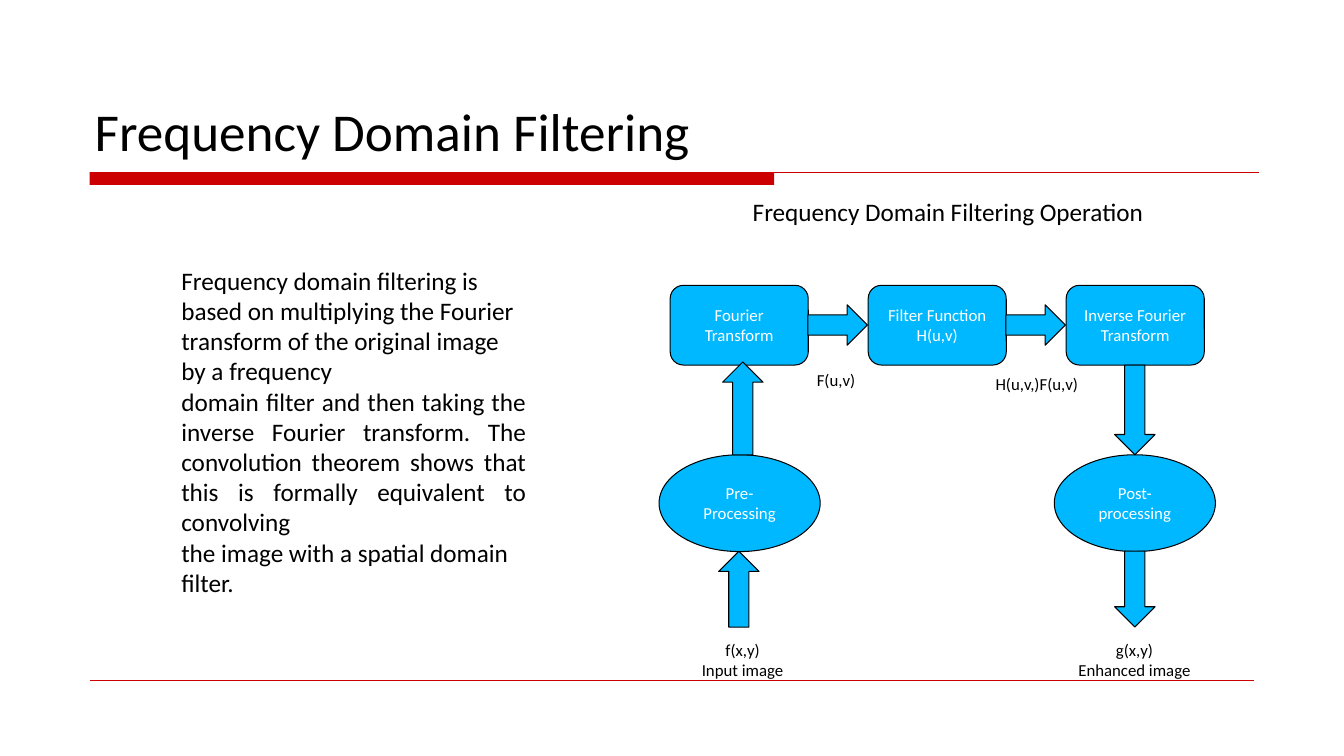
from dataclasses import dataclass

from lxml.etree import SubElement
from pptx import Presentation
from pptx.dml.color import RGBColor
from pptx.enum.shapes import MSO_CONNECTOR, MSO_SHAPE as Preset
from pptx.enum.text import MSO_ANCHOR as Anchor, MSO_AUTO_SIZE as AutoSize, PP_ALIGN as Align
from pptx.oxml.ns import qn
from pptx.shapes.autoshape import Shape
from pptx.slide import Slide
from pptx.text.text import TextFrame
from pptx.util import Cm, Pt

FONT = "Calibri"
BLACK, WHITE, RED, BLUE = "000000", "FFFFFF", "CC0000", "00B8FF"
BOX_PITCH = 4.99
ARROW_WIDTH = 1.02


@dataclass(frozen=True)
class Box:
    """A place on the slide, in centimetres."""
    left: float
    top: float
    width: float
    height: float

    def lengths(self) -> tuple[Cm, Cm, Cm, Cm]:
        return Cm(self.left), Cm(self.top), Cm(self.width), Cm(self.height)


@dataclass(frozen=True)
class Step:
    text: str
    preset: Preset
    box: Box


@dataclass(frozen=True)
class Arrow:
    left: float
    top: float
    length: float
    rotation: int


@dataclass(frozen=True)
class Label:
    text: str
    box: Box
    size: int = 12
    align: Align = Align.CENTER


STEPS = [
    Step(text, Preset.ROUNDED_RECTANGLE, Box(16.89 + BOX_PITCH * column, 7.19, 3.48, 2.01))
    for column, text in enumerate(
        ["Fourier Transform", "Filter Function H(u,v)", "Inverse Fourier Transform"])
] + [
    Step("Pre-Processing", Preset.OVAL, Box(16.61, 11.46, 4.06, 2.44)),
    Step("Post-processing", Preset.OVAL, Box(26.57, 11.46, 4.06, 2.44)),
]

ARROWS = [
    Arrow(18.11, 13.89, 1.91, 180),
    Arrow(18.21, 9.12, 2.34, 180),
    Arrow(20.6, 7.44, 1.5, 270),
    Arrow(20.6 + BOX_PITCH, 7.44, 1.5, 270),
    Arrow(28.09, 9.2, 2.26, 0),
    Arrow(28.09, 13.89, 1.91, 0),
]

LABELS = [
    Label("Frequency Domain Filtering Operation", Box(18.72, 4.83, 10.46, 1.02), 18, Align.LEFT),
    Label("F(u,v)", Box(20.32, 9.2, 1.5, 0.76)),
    Label("H(u,v,)F(u,v)", Box(24.82, 9.3, 2.62, 0.76)),
    Label("f(x,y)\nInput image", Box(17.42, 16, 2.59, 1.27)),
    Label("g(x,y)\nEnhanced image", Box(26.9, 16, 3.38, 1.27)),
]

BODY = Label(
    "Frequency domain filtering is based on multiplying the Fourier transform "
    "of the original image by a frequency\n"
    "domain filter and then taking the inverse Fourier transform. The convolution "
    "theorem shows that this is formally equivalent to convolving\n"
    "the image with a spatial domain filter.",
    Box(4.32, 6.55, 9.19, 8.64), 18, Align.LEFT)


def color(value: str) -> RGBColor:
    return RGBColor.from_string(value)


def write(frame: TextFrame, text: str, size: int, ink: str, align: Align) -> None:
    frame.text = text
    for paragraph in frame.paragraphs:
        paragraph.alignment = align
        for run in paragraph.runs:
            run.font.name = FONT
            run.font.size = Pt(size)
            run.font.color.rgb = color(ink)


def add_filled_shape(slide: Slide, preset: Preset, box: Box, fill: str) -> Shape:
    shape = slide.shapes.add_shape(preset, *box.lengths())
    shape.shadow.inherit = False
    shape.fill.solid()
    shape.fill.fore_color.rgb = color(fill)
    shape.line.fill.background()
    return shape


def add_diagram_shape(slide: Slide, preset: Preset, box: Box) -> Shape:
    """Add a blue shape with a thin black outline."""
    shape = add_filled_shape(slide, preset, box, BLUE)
    shape.line.color.rgb = color(BLACK)
    shape.line.width = Pt(0.75)
    return shape


def add_rule(slide: Slide, left: float, right: float, top: float, width: float) -> None:
    """Add a horizontal red line."""
    rule = slide.shapes.add_connector(
        MSO_CONNECTOR.STRAIGHT, Cm(left), Cm(top), Cm(right), Cm(top))
    rule.line.color.rgb = color(RED)
    rule.line.width = Pt(width)
    SubElement(rule.element.spPr, qn("a:effectLst"))


def add_step(slide: Slide, step: Step) -> None:
    shape = add_diagram_shape(slide, step.preset, step.box)
    shape.text_frame.word_wrap = True
    shape.text_frame.vertical_anchor = Anchor.MIDDLE
    write(shape.text_frame, step.text, 12, WHITE, Align.CENTER)


def add_arrow(slide: Slide, arrow: Arrow) -> None:
    box = Box(arrow.left, arrow.top, ARROW_WIDTH, arrow.length)
    add_diagram_shape(slide, Preset.DOWN_ARROW, box).rotation = arrow.rotation


def add_label(slide: Slide, label: Label, wrap: bool = False) -> None:
    frame = slide.shapes.add_textbox(*label.box.lengths()).text_frame
    frame.word_wrap = wrap
    frame.auto_size = AutoSize.SHAPE_TO_FIT_TEXT
    write(frame, label.text, label.size, BLACK, label.align)


def set_title(slide: Slide, text: str, box: Box) -> None:
    title = slide.shapes.title
    title.left, title.top, title.width, title.height = box.lengths()
    title.text_frame.auto_size = AutoSize.NONE
    title.text_frame.vertical_anchor = Anchor.BOTTOM
    write(title.text_frame, text, 38, BLACK, Align.LEFT)


def main() -> None:
    presentation = Presentation()
    presentation.slide_width, presentation.slide_height = Cm(33.87), Cm(19.05)
    slide = presentation.slides.add_slide(presentation.slide_layouts[5])

    add_filled_shape(slide, Preset.RECTANGLE, Box(2.26, 4.34, 17.25, 0.32), RED)
    add_rule(slide, 2.26, 31.72, 4.34, 0.75)
    add_rule(slide, 2.26, 31.6, 17.15, 0.25)
    set_title(slide, "Frequency Domain Filtering", Box(2.13, 0.84, 29.62, 3.38))

    add_label(slide, BODY, wrap=True)
    slide.shapes[-1].text_frame.paragraphs[1].alignment = Align.JUSTIFY
    for step in STEPS:
        add_step(slide, step)
    for label in LABELS:
        add_label(slide, label)
    for arrow in ARROWS:
        add_arrow(slide, arrow)

    presentation.save("out.pptx")


if __name__ == "__main__":
    main()
